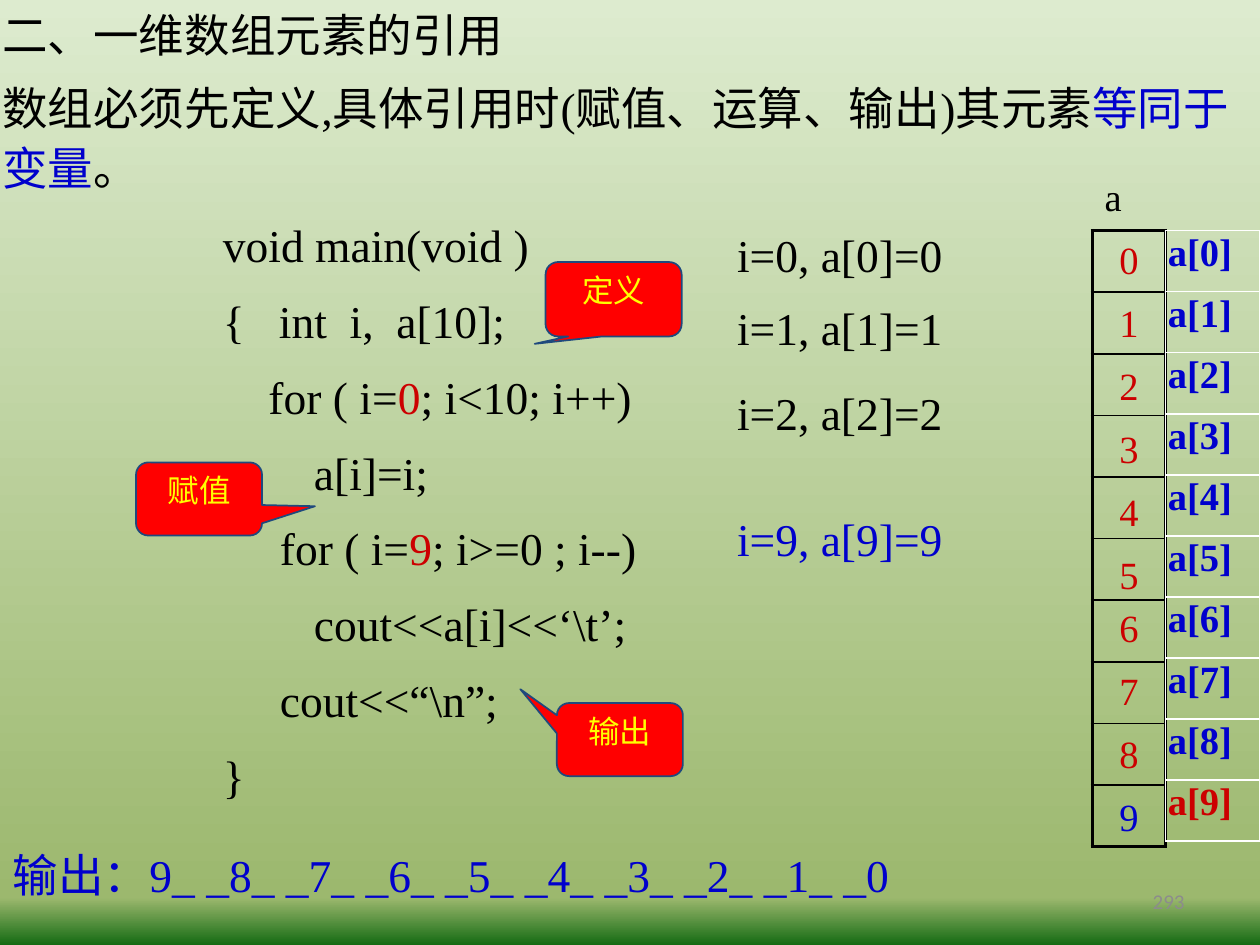
from copy import deepcopy

from pptx import Presentation
from pptx.dml.color import RGBColor
from pptx.enum.shapes import MSO_SHAPE
from pptx.enum.text import MSO_ANCHOR, PP_ALIGN
from pptx.oxml import parse_xml
from pptx.oxml.ns import nsdecls, qn
from pptx.util import Inches, Pt

BLACK = RGBColor(0, 0, 0)
BLUE = RGBColor(0x00, 0x00, 0xCC)
DARK_RED = RGBColor(0xCC, 0x00, 0x00)
RED = RGBColor(0xFF, 0x00, 0x00)
YELLOW = RGBColor(0xFF, 0xFF, 0x00)
NAVY = RGBColor(0x1F, 0x49, 0x7D)
GRAY = RGBColor(0x8C, 0x8C, 0x8C)
GRADIENT = [(0, RGBColor(0xDD, 0xEB, 0xCF)), (0.95, RGBColor(0x9C, 0xB8, 0x6E)),
            (1, RGBColor(0x15, 0x6B, 0x13))]

SERIF, SANS = "Times New Roman", "Calibri"
BODY_SIZE, ARRAY_SIZE = 26, 22
ROWS = 10
SPACE_WIDTH = BODY_SIZE / 4  # points taken by one blank of code indent


def set_margins(frame):
    frame.margin_left = frame.margin_right = Inches(0.02)
    frame.margin_top = frame.margin_bottom = Inches(0.01)


def add_runs(paragraph, parts, size, font=SERIF, bold=False):
    """Fill a paragraph with (text, colour) parts."""
    for text, color in parts:
        run = paragraph.add_run()
        run.text = text
        run.font.size = Pt(size)
        run.font.name = font
        run.font.bold = bold
        run.font.color.rgb = color


def add_text(slide, box, parts, size=BODY_SIZE, align=PP_ALIGN.LEFT):
    """Place one paragraph in a box and return its text frame."""
    frame = slide.shapes.add_textbox(*map(Inches, box)).text_frame
    frame.word_wrap = True
    set_margins(frame)
    paragraph = frame.paragraphs[0]
    paragraph.alignment = align
    paragraph.line_spacing = 1.1
    add_runs(paragraph, parts, size)
    return frame


def paint_background(slide):
    fill = slide.background.fill
    fill.gradient()
    fill.gradient_angle = 270
    stop_list = slide._element.find(".//" + qn("a:gsLst"))
    stop_list.append(deepcopy(stop_list[-1]))
    for stop, (position, color) in zip(fill.gradient_stops, GRADIENT):
        stop.position = position
        stop.color.rgb = color


def add_code(slide, box, lines):
    """Write code lines given as (indent in blanks, parts)."""
    frame = add_text(slide, box, lines[0][1])
    for indent, parts in lines[1:]:
        paragraph = frame.add_paragraph()
        paragraph.line_spacing = 1.1
        paragraph.space_before = Pt(9)
        paragraph._p.get_or_add_pPr().set("marL", str(Pt(indent * SPACE_WIDTH)))
        add_runs(paragraph, parts, BODY_SIZE)


def add_callout(slide, box, text, tip):
    """Draw a red callout; tip is a share of the box from its centre."""
    shape = slide.shapes.add_shape(MSO_SHAPE.ROUNDED_RECTANGULAR_CALLOUT, *map(Inches, box))
    shape.shadow.inherit = False
    shape.adjustments[0], shape.adjustments[1] = tip
    shape.fill.solid()
    shape.fill.fore_color.rgb = RED
    shape.line.color.rgb = NAVY
    shape.line.width = Pt(1)
    frame = shape.text_frame
    set_margins(frame)
    frame.vertical_anchor = MSO_ANCHOR.TOP
    paragraph = frame.paragraphs[0]
    paragraph.alignment = PP_ALIGN.CENTER
    paragraph.line_spacing = 1.1
    add_runs(paragraph, [(text, YELLOW)], 18, SANS)


def set_border(cell, side, width):
    cell._tc.get_or_add_tcPr().append(parse_xml(
        f'<a:{side} {nsdecls("a")} w="{Pt(width)}"><a:solidFill>'
        f'<a:srgbClr val="{BLACK}"/></a:solidFill></a:{side}>'))


def add_column(slide, box):
    """Add a plain one-column table and return its cells."""
    table = slide.shapes.add_table(ROWS, 1, *map(Inches, box)).table
    table.first_row = table.horz_banding = False
    for row in table.rows:
        row.height = Inches(box[3] / ROWS)
    cells = [table.cell(index, 0) for index in range(ROWS)]
    for cell in cells:
        set_margins(cell)
    return cells


def add_array(slide, left, top, height):
    """Draw the array: its name, framed cells, element labels and values."""
    add_text(slide, (left - 0.17, top - 0.5, 0.67, 0.43), [("a", BLACK)],
             ARRAY_SIZE, PP_ALIGN.CENTER)

    # Framed cells
    for index, cell in enumerate(add_column(slide, (left, top, 0.58, height))):
        set_border(cell, "lnL", 2.25)
        set_border(cell, "lnR", 2.25)
        set_border(cell, "lnT", 2.25 if index == 0 else 1)
        set_border(cell, "lnB", 2.25 if index == ROWS - 1 else 1)
        cell.fill.background()

    # Element labels
    for index, cell in enumerate(add_column(slide, (left + 0.58, top, 0.75, height - 0.04))):
        cell.fill.background()
        color = DARK_RED if index == ROWS - 1 else BLUE
        add_runs(cell.text_frame.paragraphs[0], [(f"a[{index}]", color)], ARRAY_SIZE, bold=True)

    # Values; the lower four sit slightly higher
    for index in range(ROWS):
        value_top = top + 0.5 * index - (0.08 if index > 5 else 0)
        color = BLUE if index == ROWS - 1 else DARK_RED
        add_text(slide, (left + 0.08, value_top, 0.42, 0.43), [(str(index), color)],
                 ARRAY_SIZE, PP_ALIGN.CENTER)


def add_page_number(slide, box, number):
    frame = slide.shapes.add_textbox(*map(Inches, box)).text_frame
    frame.word_wrap = True
    frame.vertical_anchor = MSO_ANCHOR.MIDDLE
    frame.paragraphs[0].alignment = PP_ALIGN.RIGHT
    add_runs(frame.paragraphs[0], [(number, GRAY)], 12, SANS)


presentation = Presentation()
presentation.slide_width, presentation.slide_height = Inches(10), Inches(7.5)
slide = presentation.slides.add_slide(presentation.slide_layouts[6])
paint_background(slide)
add_page_number(slide, (7.17, 6.95, 2.33, 0.4), "293")

# Heading and rule
add_text(slide, (0, 0, 10, 0.5), [("二、一维数组元素的引用", BLACK)])
add_text(slide, (0, 0.58, 10, 0.98), [
    ("数组必须先定义,具体引用时(赋值、运算、输出)其元素".replace(",", ",")
     .replace("(", "(").replace(")", ")"), BLACK),
    ("等同于变量", BLUE), ("。", BLACK)])

# Program and its output
add_code(slide, (1.75, 1.67, 4, 4.79), [
    (0, [("void main(void )", BLACK)]),
    (0, [("{   int  i,  a[10];", BLACK)]),
    (4, [("for ( i=", BLACK), ("0", DARK_RED), ("; i<10; i++)", BLACK)]),
    (8, [("a[i]=i;", BLACK)]),
    (5, [("for ( i=", BLACK), ("9", DARK_RED), ("; i>=0 ; i--)", BLACK)]),
    (8, [("cout<<a[i]<<‘\\t’;", BLACK)]),
    (5, [("cout<<“\\n”;", BLACK)]),
    (0, [("}", BLACK)])])
output = "_ _".join(str(value) for value in reversed(range(ROWS)))
add_text(slide, (0, 6.67, 8.5, 0.5), [(" 输出\uff1a" + output, BLUE)])

# Callouts
add_callout(slide, (4.33, 2.08, 1.08, 0.59), "定义", (-0.58, 0.6))
add_callout(slide, (1.08, 3.67, 1, 0.58), "赋值", (0.92, 0.1))
add_callout(slide, (4.42, 5.58, 1, 0.58), "输出", (-0.79, -0.69))

# Trace of the assignments
for index, top in [(0, 1.75), (1, 2.33), (2, 3), (9, 4)]:
    color = BLUE if index == 9 else BLACK
    add_text(slide, (5.83, top, 2.33, 0.5), [(f"i={index}, a[{index}]={index}", color)])

add_array(slide, 8.67, 1.83, 4.89)
presentation.save("out.pptx")
